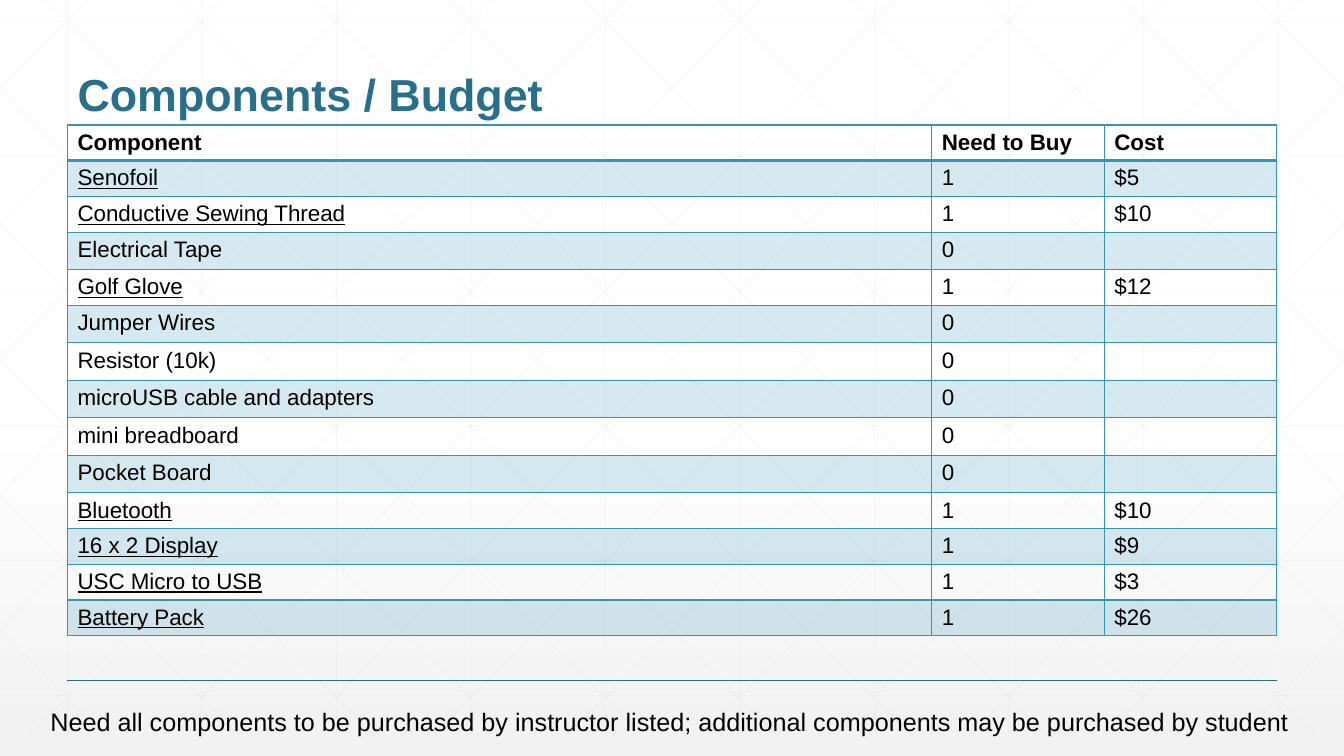
from lxml import etree
from pptx import Presentation
from pptx.dml.color import RGBColor
from pptx.enum.shapes import MSO_CONNECTOR
from pptx.enum.text import MSO_ANCHOR, MSO_AUTO_SIZE, PP_ALIGN
from pptx.oxml.ns import qn
from pptx.util import Cm, Pt

STRAIGHT = MSO_CONNECTOR.STRAIGHT
BOTTOM = MSO_ANCHOR.BOTTOM
NO_FIT = MSO_AUTO_SIZE.NONE
LEFT = PP_ALIGN.LEFT

WHITE = RGBColor(0xFF, 0xFF, 0xFF)
PALE_GRAY = RGBColor(0xF2, 0xF2, 0xF2)
GRID_GRAY = RGBColor(0xD9, 0xD9, 0xD9)
BLACK = RGBColor(0x00, 0x00, 0x00)
TEAL = RGBColor(0x27, 0x6F, 0x8B)
BLUE = RGBColor(0x34, 0x94, 0xBA)

WIDTH, HEIGHT = 33.87, 19.05
MARGIN, CONTENT_WIDTH = 1.7, 30.48
GRID_TOP, GRID_BOTTOM, GRID_STEP = -0.53, 18.52, 3.39
DIAGONAL_START, DIAGONAL_RUN = 0.63, 18.94
COLUMN_WIDTHS = (21.78, 4.35, 4.35)
ROW_HEIGHT = 0.9

HEADINGS = ("Component", "Need to Buy", "Cost")
# Each component: name, number to buy, cost, underlined name
COMPONENTS = (
    ("Senofoil", "1", "$5", True),
    ("Conductive Sewing Thread", "1", "$10", True),
    ("Electrical Tape", "0", "", False),
    ("Golf Glove", "1", "$12", True),
    ("Jumper Wires", "0", "", False),
    ("Resistor (10k)", "0", "", False),
    ("microUSB cable and adapters", "0", "", False),
    ("mini breadboard", "0", "", False),
    ("Pocket Board", "0", "", False),
    ("Bluetooth", "1", "$10", True),
    ("16 x 2 Display", "1", "$9", True),
    ("USC Micro to USB", "1", "$3", True),
    ("Battery Pack", "1", "$26", True),
)
NOTE = ("Need all components to be purchased by instructor listed; "
        "additional components may be purchased by student")


def set_alpha(parent, percent):
    """Make the solid colour inside an element partly transparent."""
    color = parent.find(".//" + qn("a:srgbClr"))
    etree.SubElement(color, qn("a:alpha"), val=str(percent * 1000))


class SlideBuilder:
    """Holds the text style and the current slide."""

    def __init__(self, page, font="Arial"):
        self.page = page
        self.font = font

    def background(self, top, bottom):
        """Fade the background downwards from just below the middle."""
        fill = self.page.background.fill
        fill.gradient()
        fill.gradient_angle = 270
        for stop, position, color in zip(fill.gradient_stops, (0.53, 1), (top, bottom)):
            stop.position = position
            stop.color.rgb = color

    def add_span(self, para, text, **formats):
        """Add one formatted span to a paragraph."""
        para.alignment = LEFT
        span = para.add_run()
        span.text = text
        span.font.color.rgb = formats.pop("color", BLACK)
        for name, value in {"name": self.font, **formats}.items():
            setattr(span.font, name, value)

    def title(self, text, left, top, width, height):
        """Place and format the title above everything drawn so far."""
        box = self.page.shapes.title
        self.page.shapes._spTree.append(box._element)
        box.left, box.top, box.width, box.height = map(Cm, (left, top, width, height))
        frame = box.text_frame
        frame.vertical_anchor, frame.auto_size = BOTTOM, NO_FIT
        para = frame.paragraphs[0]
        para.line_spacing = 0.9
        self.add_span(para, text, size=Pt(32), bold=True, color=TEAL)

    def text(self, text, left, top, width, height, **formats):
        """Add a wrapped text box."""
        box = self.page.shapes.add_textbox(*map(Cm, (left, top, width, height)))
        box.text_frame.word_wrap = True
        self.add_span(box.text_frame.paragraphs[0], text, **formats)

    def line(self, ends, color, points, alpha=100, shapes=None):
        """Add a straight line, on the slide or in a group."""
        shapes = shapes or self.page.shapes
        line = shapes.add_connector(STRAIGHT, *map(Cm, ends))
        line.line.color.rgb, line.line.width = color, Pt(points)
        properties = line._element.spPr
        if alpha < 100:
            set_alpha(properties, alpha)
        etree.SubElement(properties, qn("a:effectLst"))

    def grid(self):
        """Draw the faint grid with its two sets of diagonals."""
        lines = [(x, GRID_TOP, x, GRID_BOTTOM)
                 for x in (MARGIN + GRID_STEP * i for i in range(10))]
        lines += [(0, y, WIDTH, y) for y in (0.53 + 3.4 * i for i in range(6))]
        slope = (GRID_BOTTOM - GRID_TOP) / DIAGONAL_RUN
        for i in range(-5, 10):
            start = DIAGONAL_START + GRID_STEP * i
            left, right = max(start, 0), min(start + DIAGONAL_RUN, WIDTH)
            upper, lower = (GRID_TOP + (x - start) * slope for x in (left, right))
            lines.append((left, upper, right, lower))
            lines.append((WIDTH - left, upper, WIDTH - right, lower))
        group = self.page.shapes.add_group_shape()
        for ends in lines:
            self.line(ends, GRID_GRAY, 0.5, 25, group.shapes)

    def borders(self, cell, **points):
        """Draw the four cell borders, widths given by side."""
        properties = cell._tc.get_or_add_tcPr()
        for index, side in enumerate("LRTB"):
            width = str(Pt(points.get(side, 1)))
            border = etree.Element(qn("a:ln" + side), w=width)
            fill = etree.SubElement(border, qn("a:solidFill"))
            etree.SubElement(fill, qn("a:srgbClr"), val=str(BLUE))
            properties.insert(index, border)

    def cell(self, cell, text, row, underline):
        """Fill one table cell; row 0 is the heading row."""
        if row % 2:
            cell.fill.solid()
            cell.fill.fore_color.rgb = BLUE
            set_alpha(cell._tc.tcPr, 20)
        else:
            cell.fill.background()
        self.borders(cell, T=2 if row == 1 else 1, B=2 if row == 0 else 1)
        para = cell.text_frame.paragraphs[0]
        if text:
            self.add_span(para, text, size=Pt(16), bold=row == 0, underline=underline)
        else:
            para._p.get_or_add_endParaRPr().set("sz", "1600")

    def table(self, left, top):
        """Add the component table."""
        rows = [(*HEADINGS, False), *COMPONENTS]
        table = self.page.shapes.add_table(
            len(rows), len(HEADINGS), Cm(left), Cm(top),
            Cm(CONTENT_WIDTH), Cm(ROW_HEIGHT * len(rows))).table
        table.horz_banding = False
        table.first_row = False
        for column, width in zip(table.columns, COLUMN_WIDTHS):
            column.width = Cm(width)
        for row, (*texts, underline) in enumerate(rows):
            table.rows[row].height = Cm(ROW_HEIGHT)
            for column, text in enumerate(texts):
                self.cell(table.cell(row, column), text, row, underline and column == 0)


def main():
    """Build the budget slide and save the deck."""
    deck = Presentation()
    deck.slide_width, deck.slide_height = Cm(WIDTH), Cm(HEIGHT)
    builder = SlideBuilder(deck.slides.add_slide(deck.slide_layouts[5]))
    builder.background(WHITE, PALE_GRAY)
    builder.grid()
    builder.line((MARGIN, 17.15, MARGIN + CONTENT_WIDTH, 17.15), TEAL, 1)
    builder.title("Components / Budget", MARGIN, 0.64, CONTENT_WIDTH, 2.54)
    builder.table(MARGIN, 3.15)
    builder.text(NOTE, 1.02, 17.68, 32, 1.02, size=Pt(18))
    deck.save("out.pptx")


main()
